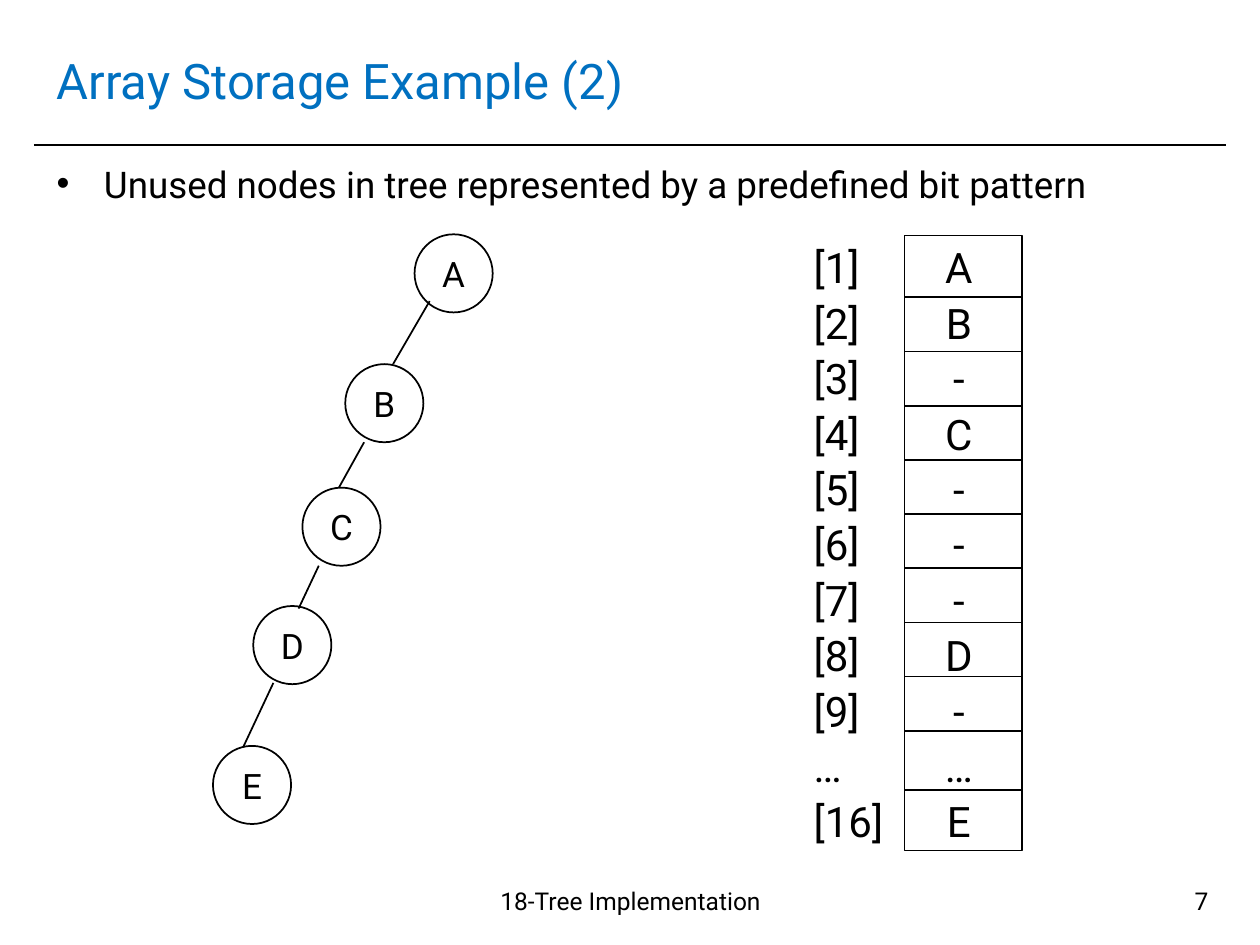
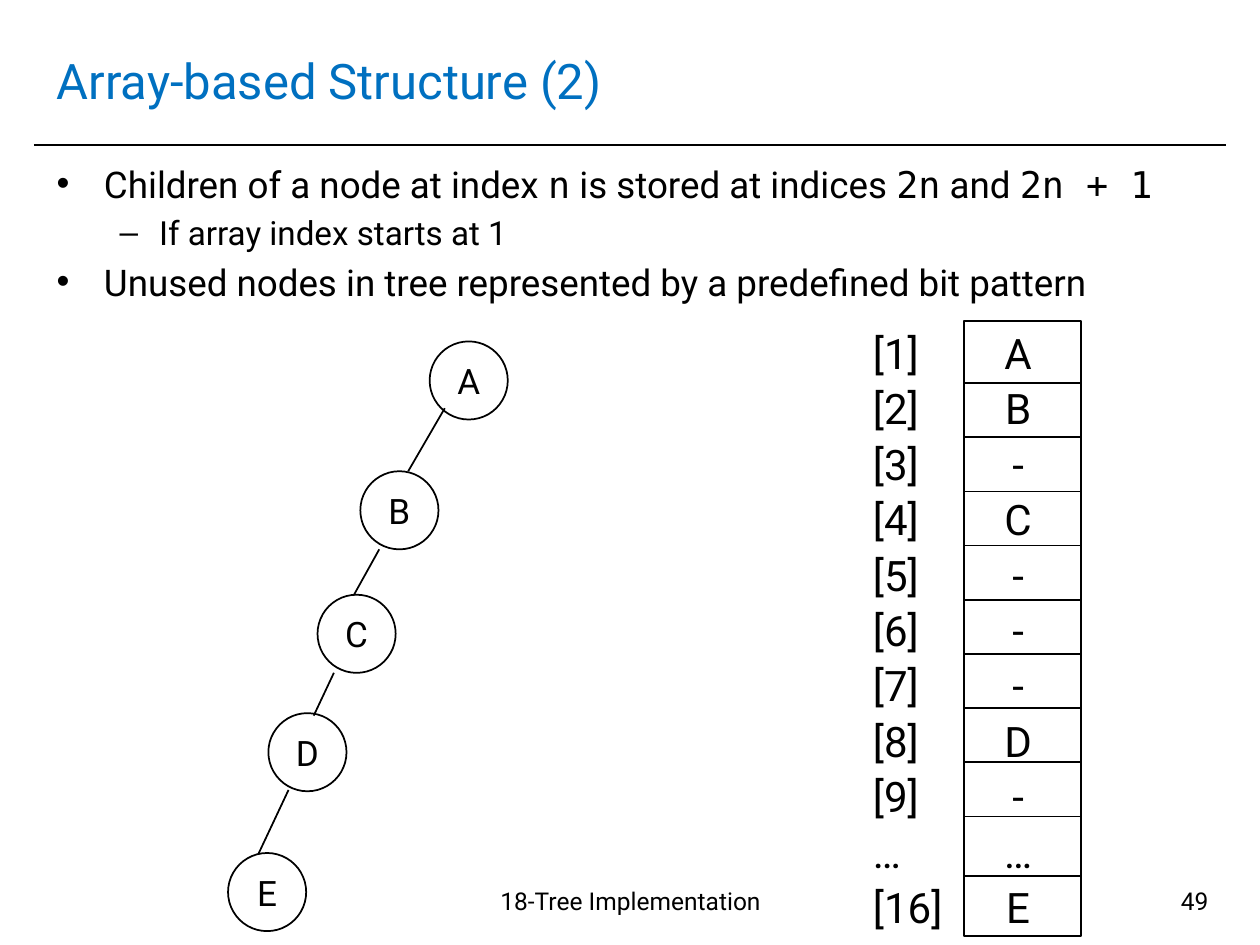
from dataclasses import dataclass

from pptx import Presentation
from pptx import util as u
from pptx.dml.color import RGBColor
from pptx.enum import shapes, text
from pptx.oxml import ns, xmlchemy


@dataclass(frozen=True)
class Theme:
    ink: RGBColor = RGBColor(0x00, 0x00, 0x00)
    accent: RGBColor = RGBColor(0x00, 0x70, 0xC0)
    paper: RGBColor = RGBColor(0xFF, 0xFF, 0xFF)
    sans: str = "Roboto"
    mono: str = "DejaVu Sans Mono"
    title: int = 28
    bullets: tuple = (21, 19)
    node: int = 20
    cell: int = 24
    footer: int = 14
    line: int = 1


THEME = Theme()
FOOTER = "18-Tree Implementation"
NODE_SIZE = 0.62
NODES = {
    "A": (3.29, 1.86),
    "B": (2.74, 2.89),
    "C": (2.40, 3.87),
    "D": (2.01, 4.81),
    "E": (1.69, 5.92),
}
EDGES = [
    ((3.41, 2.39), (3.12, 2.89)),
    ((2.89, 3.51), (2.69, 3.87)),
    ((2.53, 4.49), (2.37, 4.83)),
    ((2.17, 5.42), (1.93, 5.93)),
]
INDICES = [f"[{i}]" for i in range(1, 10)] + ["…", "[16]"]
VALUES = ["A", "B", "-", "C", "-", "-", "-", "D", "-", "…", "E"]
ARRAY_WIDTH, ARRAY_HEIGHT = 0.93, 4.88
DIVIDERS = [0.49 + 0.43 * row for row in range(9)] + [4.40]

UNUSED = (0, [("Unused nodes in tree represented by a predefined bit pattern", False)])
CHILDREN = (0, [
    ("Children of a node at index ", False),
    ("n", True),
    (" is stored at indices ", False),
    ("2n", True),
    (" and ", False),
    ("2n + 1", True),
])
INDEX_START = (1, [("If array index starts at 1", False)])


def write(paragraph, content, size, color=THEME.ink, font=THEME.sans,
          align=None, spacing=None):
    run = paragraph.add_run()
    run.text = content
    run.font.size = u.Pt(size)
    run.font.name = font
    run.font.color.rgb = color
    if align is not None:
        paragraph.alignment = align
    if spacing is not None:
        paragraph.line_spacing = spacing


def paragraphs(frame, count):
    return [frame.paragraphs[0]] + [frame.add_paragraph() for _ in range(count - 1)]


def box(left, top, width, height):
    return [u.Inches(round(length, 2)) for length in (left, top, width, height)]


class Deck:
    def __init__(self, theme):
        self.theme = theme
        self.presentation = Presentation()
        self.presentation.slide_width = u.Inches(10)
        self.presentation.slide_height = u.Inches(7.5)
        self.slide = None

    def start(self, heading, bullets, number):
        self.slide = self.presentation.slides.add_slide(self.presentation.slide_layouts[1])
        fill = self.slide.background.fill
        fill.solid()
        fill.fore_color.rgb = self.theme.paper
        self.line((0.27, 1.15), (9.73, 1.15))
        self.title(heading)
        self.bullets(bullets)
        self.text([FOOTER], (3.35, 6.98, 3.31, 0.52), self.theme.footer,
                  align=text.PP_ALIGN.CENTER)
        self.text([str(number)], (7.36, 6.98, 2.33, 0.52), self.theme.footer,
                  align=text.PP_ALIGN.RIGHT)

    def place(self, holder, *bounds):
        holder.left, holder.top, holder.width, holder.height = box(*bounds)
        holder.text_frame.auto_size = text.MSO_AUTO_SIZE.NONE
        return holder.text_frame

    def title(self, heading):
        frame = self.place(self.slide.shapes.title, 0.35, 0.21, 9.29, 0.85)
        frame.vertical_anchor = text.MSO_ANCHOR.MIDDLE
        write(frame.paragraphs[0], heading, self.theme.title, color=self.theme.accent,
              align=text.PP_ALIGN.LEFT)

    def bullets(self, items):
        frame = self.place(self.slide.placeholders[1], 0.35, 1.23, 9.29, 5.59)
        for paragraph, (level, parts) in zip(paragraphs(frame, len(items)), items):
            paragraph.level = level
            for content, is_code in parts:
                write(paragraph, content, self.theme.bullets[level],
                      font=self.theme.mono if is_code else self.theme.sans)

    def text(self, rows, bounds, size, wrap=True, **style):
        frame = self.slide.shapes.add_textbox(*box(*bounds)).text_frame
        frame.word_wrap = wrap
        if not wrap:
            frame.auto_size = text.MSO_AUTO_SIZE.SHAPE_TO_FIT_TEXT
        for paragraph, row in zip(paragraphs(frame, len(rows)), rows):
            write(paragraph, row, size, **style)

    def line(self, start, end):
        connector = self.slide.shapes.add_connector(
            shapes.MSO_CONNECTOR.STRAIGHT, *box(*start, *end))
        connector.line.color.rgb = self.theme.ink
        connector.line.width = u.Pt(self.theme.line)
        properties = connector.line._get_or_add_ln().getparent()
        properties.append(xmlchemy.OxmlElement("a:effectLst"))

    def outline(self, kind, *bounds):
        shape = self.slide.shapes.add_shape(kind, *box(*bounds))
        shape.shadow.inherit = False
        shape.fill.background()
        shape.line.color.rgb = self.theme.ink
        shape.line.width = u.Pt(self.theme.line)
        return shape

    def node(self, label, left, top):
        frame = self.outline(shapes.MSO_SHAPE.OVAL, left, top,
                             NODE_SIZE, NODE_SIZE).text_frame
        frame.margin_left = frame.margin_right = frame.margin_top = frame.margin_bottom = 0
        frame.vertical_anchor = text.MSO_ANCHOR.MIDDLE
        frame.word_wrap = False
        write(frame.paragraphs[0], label, self.theme.node, align=text.PP_ALIGN.CENTER)

    def tree(self, dx=0, dy=0):
        for label, (left, top) in NODES.items():
            self.node(label, left + dx, top + dy)
        for parent, child in EDGES:
            self.line(*[(x + dx, y + dy) for x, y in (parent, child)])

    def array(self, left, top):
        self.outline(shapes.MSO_SHAPE.RECTANGLE, left, top, ARRAY_WIDTH, ARRAY_HEIGHT)
        for divider in DIVIDERS:
            self.line((left, top + divider), (left + ARRAY_WIDTH, top + divider))
        for rows, offset, width, align in (
            (VALUES, 0.19, 0.48, text.PP_ALIGN.CENTER),
            (INDICES, -0.82, 0.83, text.PP_ALIGN.LEFT),
        ):
            self.text(rows, (left + offset, top - 0.04, width, 4.99), self.theme.cell,
                      wrap=False, align=align, spacing=1.1)


def main():
    deck = Deck(THEME)
    deck.start("Array Storage Example (2)", [UNUSED], 7)
    deck.tree()
    deck.array(7.18, 1.87)

    deck.start("Array-based Structure (2)", [CHILDREN, INDEX_START, UNUSED], 49)
    deck.tree(dx=0.12, dy=0.85)
    deck.array(7.65, 2.55)
    deck.presentation.save("out.pptx")


if __name__ == "__main__":
    main()
